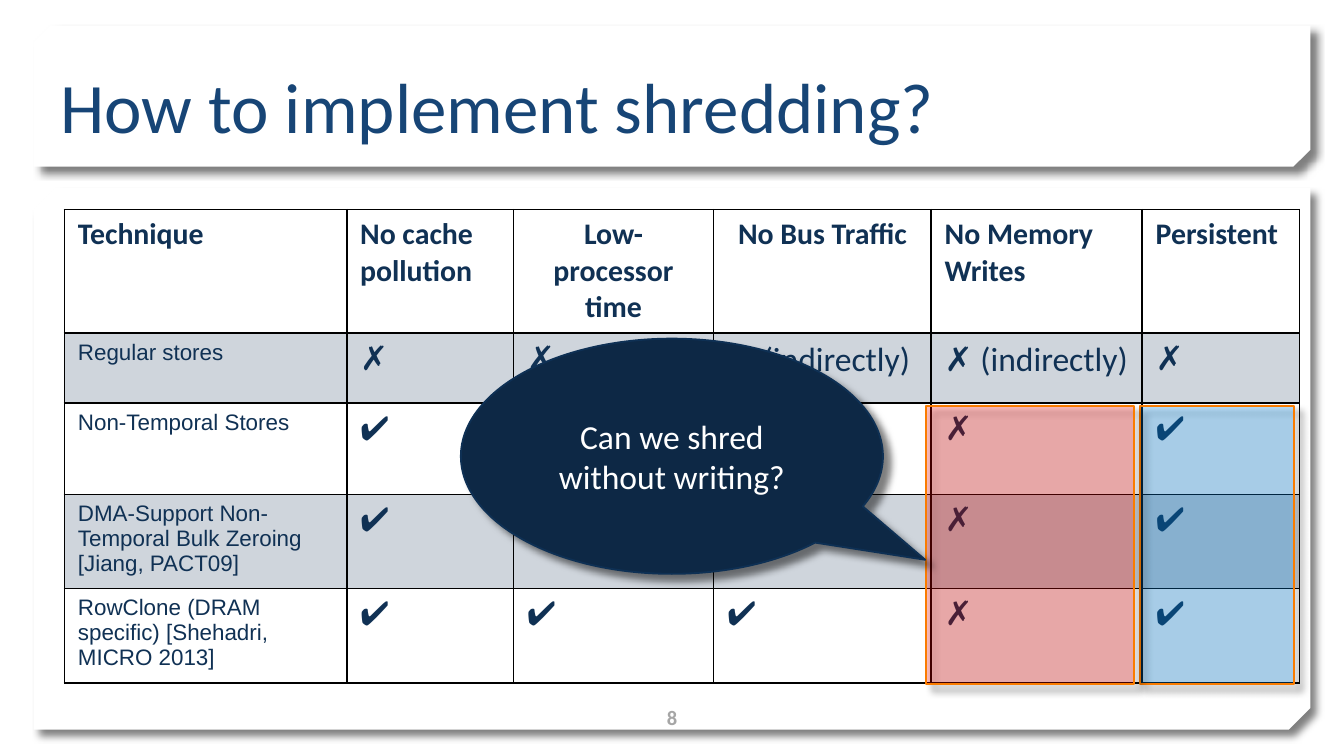
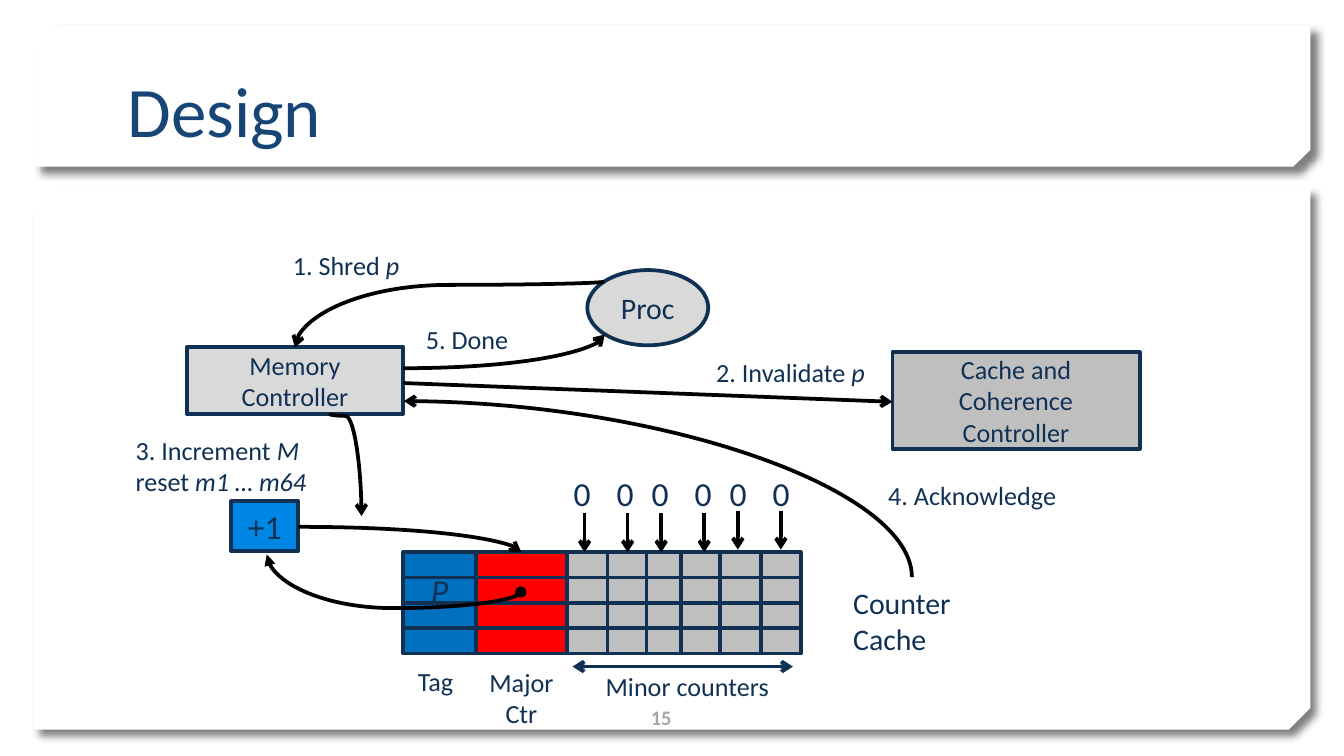
from dataclasses import dataclass

from lxml import etree
from pptx import Presentation
from pptx.dml.color import RGBColor
from pptx.enum.shapes import MSO_CONNECTOR, MSO_SHAPE
from pptx.enum.text import MSO_ANCHOR, PP_ALIGN
from pptx.oxml.ns import qn
from pptx.util import Inches, Pt

RECTANGLE = MSO_SHAPE.RECTANGLE
ELLIPSE = MSO_SHAPE.OVAL
CALLOUT = MSO_SHAPE.OVAL_CALLOUT
SNIPPED = MSO_SHAPE.SNIP_2_DIAG_RECTANGLE
STRAIGHT, CURVE = MSO_CONNECTOR.STRAIGHT, MSO_CONNECTOR.CURVE
LEFT, CENTER = PP_ALIGN.LEFT, PP_ALIGN.CENTER
TOP, MIDDLE, BOTTOM = MSO_ANCHOR.TOP, MSO_ANCHOR.MIDDLE, MSO_ANCHOR.BOTTOM


@dataclass(frozen=True)
class Theme:
    heading: str = "Calibri"
    body: str = "Arial"
    ink: str = "103154"
    title: str = "174576"
    muted: str = "A6A6A6"
    white: str = "FFFFFF"
    black: str = "000000"
    callout: str = "0D2845"
    callout_line: str = "0E3054"
    highlight_line: str = "FA7C00"
    sky: str = "0096FF"
    red: str = "FF0000"
    adder: str = "0087E6"
    tag: str = "0070BF"
    light_gray: str = "D9D9D9"
    gray: str = "BFBFBF"
    title_size: int = 38
    large: int = 18
    medium: int = 16
    label: int = 14
    small: int = 12
    footer: int = 11


THEME = Theme()


@dataclass(frozen=True)
class Box:
    left: float
    top: float
    width: float
    height: float

    def inner(self, left, top, width, height):
        return Box(self.left + left, self.top + top, width, height)

    def lengths(self):
        return [Inches(value) for value in (self.left, self.top, self.width, self.height)]


def add_child(parent, tag, **attributes):
    child = etree.SubElement(parent, qn(tag))
    for name, value in attributes.items():
        child.set(name, str(value))
    return child


def set_alpha(properties, percent):
    color = properties.find(qn("a:solidFill")).find(qn("a:srgbClr"))
    add_child(color, "a:alpha", val=percent * 1000)


def style_font(font, size, color=THEME.ink, name=THEME.heading, bold=False):
    font.size, font.name, font.bold = Pt(size), name, bold
    font.color.rgb = RGBColor.from_string(color)


def write_text(frame, paragraphs, size, color=THEME.ink, align=LEFT, anchor=TOP, wrap=True, bold=False):
    frame.word_wrap, frame.vertical_anchor = wrap, anchor
    for index, runs in enumerate(paragraphs):
        paragraph = frame.paragraphs[0] if index == 0 else frame.add_paragraph()
        paragraph.alignment = align
        style_font(paragraph.font, size, color, bold=bold)
        for text in [runs] if isinstance(runs, str) else runs:
            if text == "\n":
                paragraph.add_line_break()
                continue
            run = paragraph.add_run()
            run.text = text.strip("*")
            if text.startswith("*"):
                run.font.italic = True


def add_text(slide, box, paragraphs, size, **options):
    write_text(slide.shapes.add_textbox(*box.lengths()).text_frame, paragraphs, size, **options)


def add_shape(slide, kind, box, fill, line=None, weight=2, alpha=None, shadow=False):
    shape = slide.shapes.add_shape(kind, *box.lengths())
    shape.fill.solid()
    shape.fill.fore_color.rgb = RGBColor.from_string(fill)
    properties = shape.element.spPr
    if alpha:
        set_alpha(properties, alpha)
    if line:
        shape.line.color.rgb = RGBColor.from_string(line)
        shape.line.width = Pt(weight)
    else:
        shape.line.fill.background()
    shape.shadow.inherit = False
    if shadow:
        outer = add_child(properties.find(qn("a:effectLst")), "a:outerShdw",
                          blurRad=Pt(4), dist=Pt(5), dir=45 * 60000, algn="tl", rotWithShape=0)
        add_child(add_child(outer, "a:srgbClr", val=THEME.black), "a:alpha", val=50000)
    return shape


def add_node(slide, kind, box, fill, paragraphs, size):
    shape = add_shape(slide, kind, box, fill, THEME.ink)
    write_text(shape.text_frame, paragraphs, size, align=CENTER, anchor=MIDDLE)


def add_line(slide, kind, box, color=THEME.black, head=None, tail="arrow"):
    left, top, width, height = box.lengths()
    connector = slide.shapes.add_connector(kind, left, top, left + width, top + height)
    connector.line.color.rgb = RGBColor.from_string(color)
    connector.line.width = Pt(2)
    properties = connector.element.spPr
    line = properties.find(qn("a:ln"))
    if head:
        add_child(line, "a:headEnd", type=head)
    add_child(line, "a:tailEnd", type=tail)
    add_child(properties, "a:effectLst")
    return connector


def add_curve(slide, box, rotation=0, flips="", bend=None, head=None, tail="arrow"):
    properties = add_line(slide, CURVE, box, head=head, tail=tail).element.spPr
    transform = properties.find(qn("a:xfrm"))
    transform.set("rot", str(rotation * 60000))
    for flip in flips:
        transform.set("flip" + flip, "1")
    geometry = properties.find(qn("a:prstGeom"))
    geometry.set("prst", "curvedConnector2" if bend is None else "curvedConnector3")
    if bend is not None:
        add_child(geometry.find(qn("a:avLst")), "a:gd", name="adj1", fmla=f"val {round(bend * 100000)}")


def draw_band(slide, box, snip):
    band = add_shape(slide, SNIPPED, box, THEME.white, shadow=True)
    band.adjustments[0], band.adjustments[1] = 0, snip
    band.element.spPr.find(qn("a:xfrm")).set("flipV", "1")


def draw_frame(slide, title, title_box, number, number_box):
    draw_band(slide, Box(0.25, 1.4, 9.5, 4.03), 0.04)
    draw_band(slide, Box(0.25, 0.19, 9.5, 1.05), 0.12)
    add_text(slide, title_box, [title], THEME.title_size, color=THEME.title, anchor=BOTTOM)
    add_text(slide, number_box, [number], THEME.footer, color=THEME.muted,
             align=CENTER, anchor=MIDDLE, bold=True)


def style_cell(cell, shaded):
    properties = cell._tc.get_or_add_tcPr()
    if shaded:
        cell.fill.solid()
        cell.fill.fore_color.rgb = RGBColor.from_string(THEME.ink)
        set_alpha(properties, 20)
    else:
        cell.fill.background()
    for index, side in enumerate(("a:lnL", "a:lnR", "a:lnT", "a:lnB")):
        border = add_child(properties, side, w=Pt(1))
        add_child(add_child(border, "a:solidFill"), "a:srgbClr", val=THEME.black)
        properties.insert(index, border)


def draw_comparison_table(slide, box):
    yes, no = "\u2714", "\u2717"
    indirect = no + " (indirectly)"
    rows = [
        ("Technique", "No cache pollution", "Low-processor time", "No Bus Traffic",
         "No Memory Writes", "Persistent"),
        ("Regular stores", no, no, indirect, indirect, no),
        ("Non-Temporal Stores", yes, no, no, no, yes),
        ("DMA-Support Non-Temporal Bulk Zeroing [Jiang, PACT09]", yes, yes, no, no, yes),
        ("RowClone (DRAM specific) [Shehadri, MICRO 2013]", yes, yes, yes, no, yes),
    ]
    table = slide.shapes.add_table(len(rows), len(rows[0]), *box.lengths()).table
    table.first_row = table.horz_banding = False
    for column, width in zip(table.columns, (2.1, 1.24, 1.49, 1.62, 1.57, 1.17)):
        column.width = Inches(width)
    for row, height in zip(table.rows, (0.92, 0.52, 0.68, 0.68, 0.68)):
        row.height = Inches(height)
    for row_index, values in enumerate(rows):
        for column_index, value in enumerate(values):
            cell = table.cell(row_index, column_index)
            style_cell(cell, row_index % 2 == 1)
            paragraph = cell.text_frame.paragraphs[0]
            if row_index == 0:
                paragraph.text = value
                paragraph.alignment = CENTER if column_index in (2, 3) else LEFT
                style_font(paragraph.font, THEME.medium, bold=True)
            elif column_index == 0:
                paragraph.text = value
                style_font(paragraph.font, THEME.small, name=THEME.body)
            else:
                style_font(paragraph.font, THEME.large, name=THEME.body)
                for text, font_name in ((value[0], THEME.body), (value[1:], THEME.heading)):
                    if text:
                        run = paragraph.add_run()
                        run.text, run.font.name = text, font_name


def draw_highlights(slide, box):
    for left, width, color in ((1.59, 1.15, THEME.sky), (0, 1.55, THEME.red)):
        add_shape(slide, RECTANGLE, box.inner(left, 0, width, box.height), color,
                  THEME.highlight_line, weight=1, alpha=25, shadow=True)


def draw_callout(slide, box):
    callout = add_shape(slide, CALLOUT, box, THEME.callout, THEME.callout_line, weight=1, shadow=True)
    callout.adjustments[0], callout.adjustments[1] = 0.6, 0.44
    write_text(callout.text_frame, ["Can we shred without writing?"], THEME.large,
               color=THEME.white, align=CENTER, anchor=MIDDLE)


def draw_counter_cache(slide, box):
    row_count = 4
    pitch = box.height / row_count
    columns = [(0, 0.54, THEME.tag), (0.54, 0.69, THEME.red)]
    columns += [(left, 0.3, THEME.gray) for left in (1.22, 1.52, 1.81, 2.07, 2.36, 2.66)]
    for row in range(row_count):
        for column, (left, width, color) in enumerate(columns):
            text = ["*P"] if (row, column) == (1, 0) else []
            add_node(slide, RECTANGLE, box.inner(left, row * pitch, width, 0.19), color, text, THEME.large)
    add_text(slide, box.inner(3.25, 0.19, 1.06, 0.64), ["Counter", "Cache"], THEME.medium)
    add_text(slide, box.inner(0.01, 0.79, 0.51, 0.34), ["Tag"], THEME.label, wrap=False)
    add_text(slide, box.inner(0.52, 0.8, 0.72, 0.57), [["Major", "\n", "Ctr"]], THEME.label,
             align=CENTER, wrap=False)
    add_line(slide, STRAIGHT, box.inner(1.26, 0.85, 1.64, 0), THEME.ink, head="arrow")
    add_text(slide, box.inner(1.36, 0.83, 1.51, 0.34), ["Minor counters"], THEME.label, align=CENTER)
    for index in range(6):
        pair, side = divmod(index, 2)
        arrow_top = -0.31 if pair == 2 else -0.29
        add_line(slide, STRAIGHT, box.inner(1.35 + 0.57 * pair + 0.32 * side, arrow_top, 0, 0.29))
        add_text(slide, box.inner(1.17 + 0.58 * pair + 0.32 * side, -0.64, 0.33, 0.4), ["0"],
                 THEME.large, wrap=False)


def draw_controllers(slide, box):
    add_node(slide, ELLIPSE, box.inner(3.87, 0.51, 0.9, 0.56), THEME.light_gray, ["Proc"], THEME.medium)
    add_node(slide, RECTANGLE, box.inner(0.89, 1.08, 1.61, 0.5), THEME.light_gray,
             ["Memory", "Controller"], THEME.label)
    add_node(slide, RECTANGLE, box.inner(1.22, 2.23, 0.5, 0.37), THEME.adder, ["+1"], THEME.large)
    add_node(slide, RECTANGLE, box.inner(6.14, 1.12, 1.84, 0.72), THEME.gray,
             ["Cache and Coherence Controller"], THEME.label)


def draw_messages(slide, box):
    add_curve(slide, box.inner(2.29, 1.82, 0.28, 1.89), 270, "V", -0.43, head="oval", tail="triangle")
    for place, rotation, flips, bend in (
        ((1.72, 2.42, 1.66, 0.19), 0, "", None),
        ((2.6, -0.31, 0.49, 2.3), 270, "HV", 0.05),
        ((2.5, 0.99, 1.5, 0.25), 0, "V", None),
        ((1.69, 1.84, 0.76, 0.24), 270, "H", 0.02),
        ((3.74, 0.25, 1.31, 3.78), 270, "V", None),
    ):
        add_curve(slide, box.inner(*place), rotation, flips, bend)
    add_line(slide, STRAIGHT, box.inner(2.5, 1.35, 3.64, 0.14))
    for place, runs in (
        ((1.58, 0.31, 1.08, 0.34), ["1. Shred ", "*p"]),
        ((0.41, 1.68, 1.55, 0.57), ["3. Increment ", "*M", "\n", "reset ", "*m1 \u2026 m64"]),
        ((2.57, 0.86, 0.92, 0.34), ["5. Done"]),
        ((4.73, 1.1, 1.42, 0.34), ["2. Invalidate ", "*p"]),
        ((6.01, 2.02, 1.59, 0.34), ["4. Acknowledge"]),
    ):
        add_text(slide, box.inner(*place), [runs], THEME.label, wrap=False)


def build_comparison_slide(slide):
    draw_frame(slide, "How to implement shredding?", Box(0.35, 0.21, 8.29, 0.94),
               "8", Box(4.71, 5.19, 0.58, 0.3))
    draw_comparison_table(slide, Box(0.48, 1.56, 9.19, 3.48))
    draw_highlights(slide, Box(6.89, 3.02, 2.74, 2.07))
    draw_callout(slide, Box(3.43, 2.52, 3.14, 1.75))


def build_design_slide(slide):
    diagram = Box(0.5, 1.5, 8, 4)
    draw_frame(slide, "Design", Box(0.85, 0.24, 8.29, 0.94), "15", Box(4.63, 5.19, 0.58, 0.3))
    draw_controllers(slide, diagram)
    draw_counter_cache(slide, Box(3, 4.11, 2.96, 0.75))
    draw_messages(slide, diagram)


presentation = Presentation()
presentation.slide_width = Inches(10)
presentation.slide_height = presentation.slide_width * 9 // 16
for build_slide in (build_comparison_slide, build_design_slide):
    build_slide(presentation.slides.add_slide(presentation.slide_layouts[6]))
presentation.save("out.pptx")
